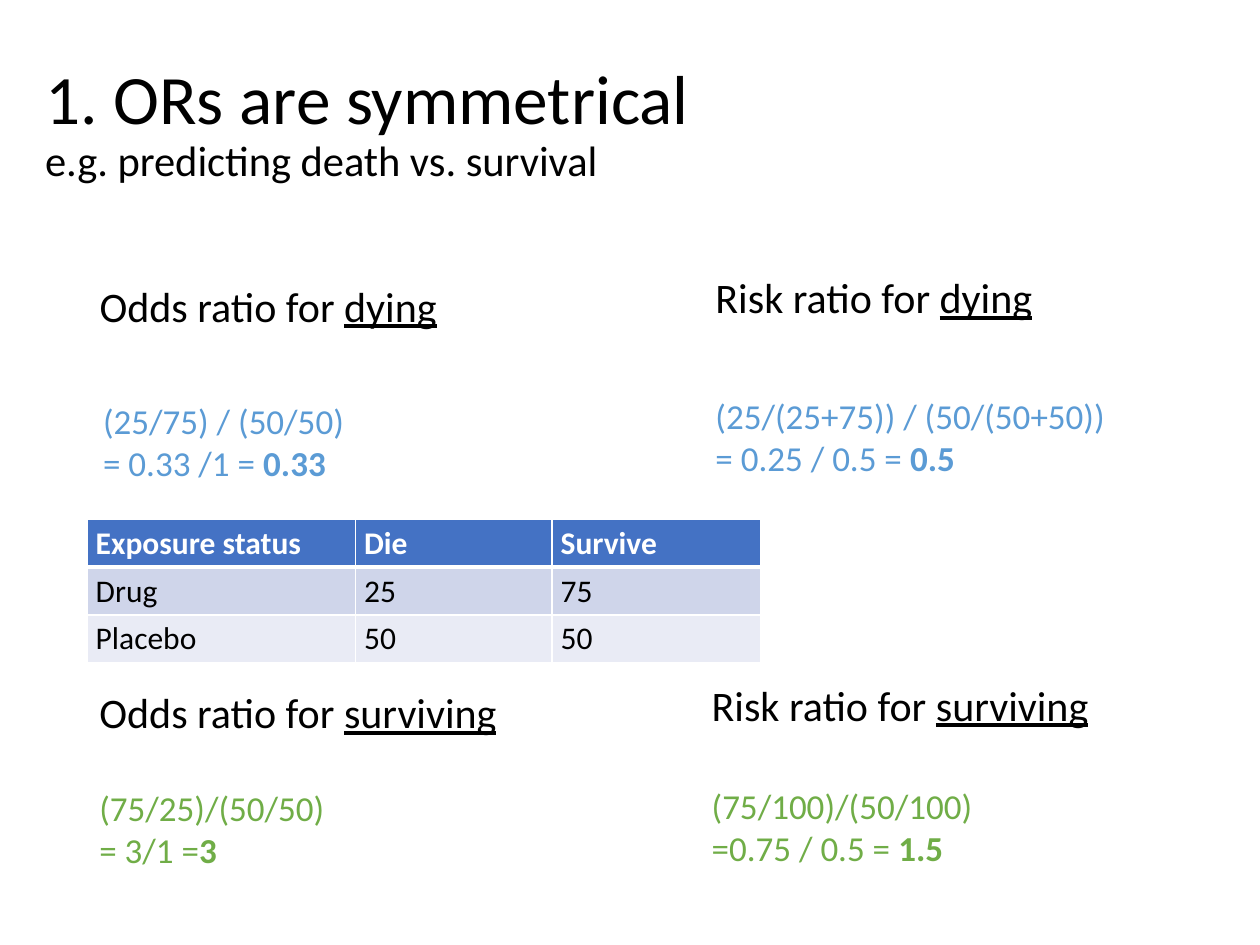
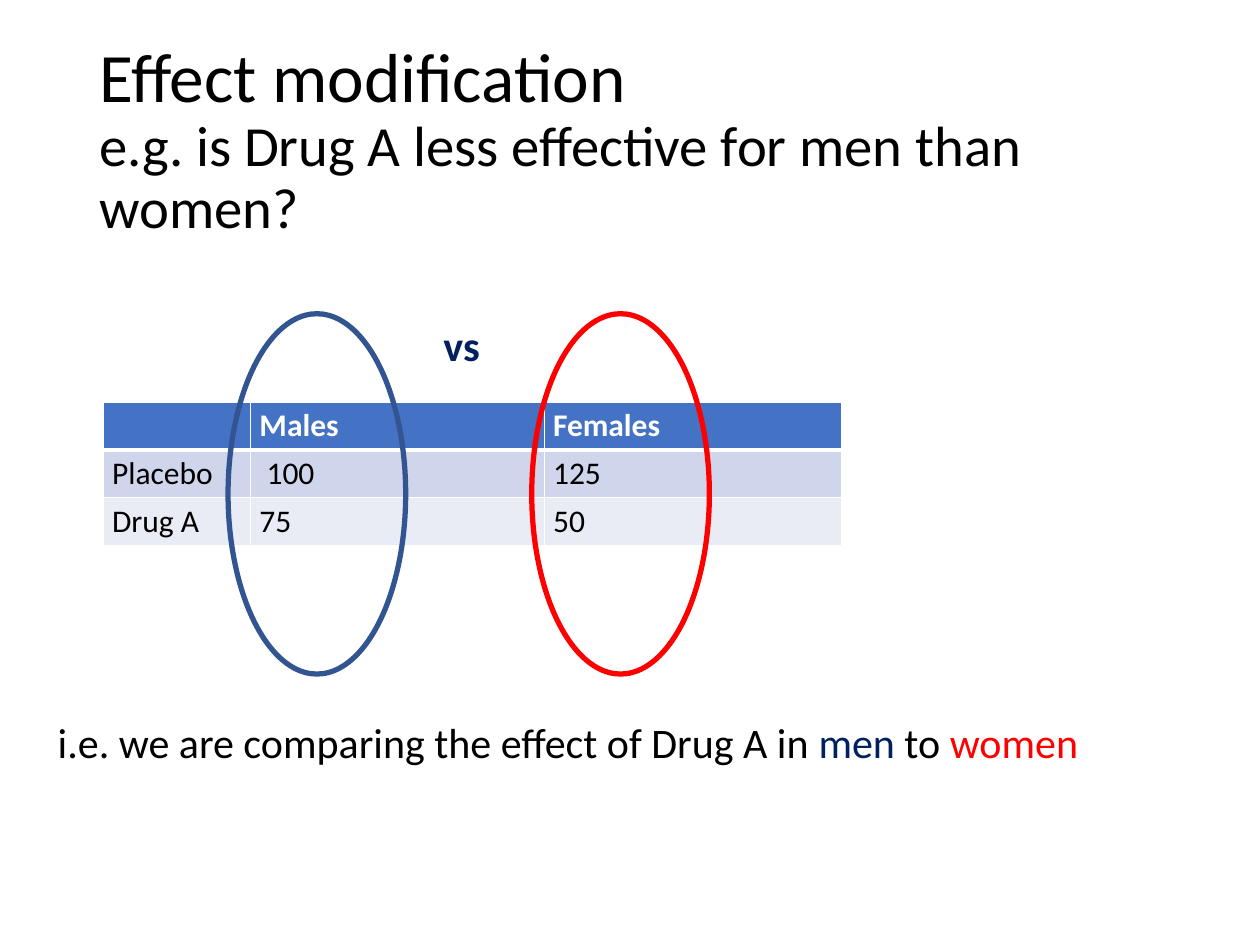
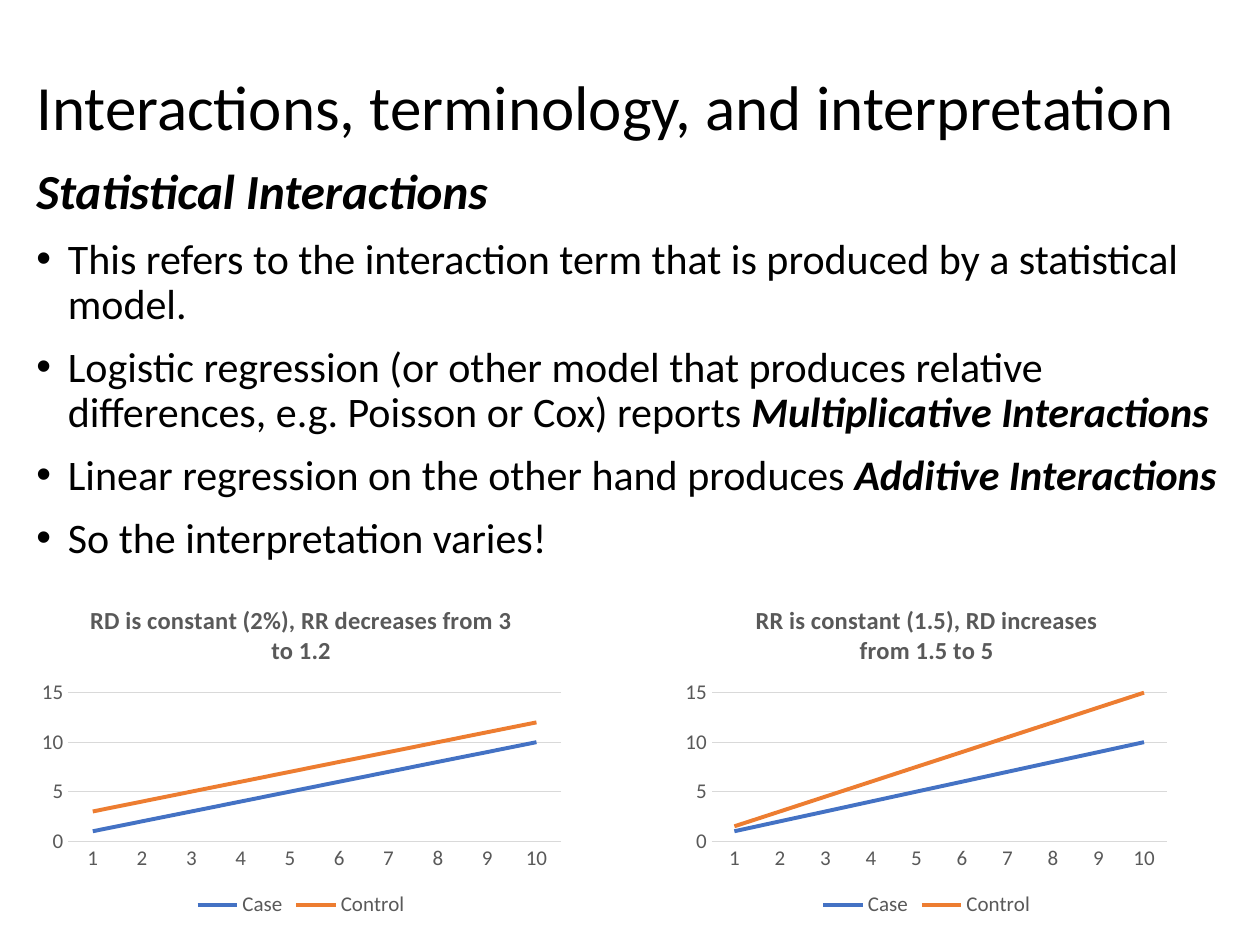
"""Build three slides on odds ratios, effect modification and interactions."""
from dataclasses import dataclass, field

from lxml import etree
from pptx import Presentation
from pptx import util as u
from pptx.chart import data as chart_data
from pptx.dml import color
from pptx.enum import chart as charts
from pptx.enum import shapes, text
from pptx.oxml import ns, parse_xml

SCALE = 9144
FONT = "Calibri"
COLORS = {
    "black": "000000", "white": "FFFFFF", "sky": "5B9BD5", "green": "70AD47",
    "navy": "002060", "steel": "325491", "red": "FF0000", "gray": "595959",
    "grid": "D9D9D9", "blue": "4472C4", "orange": "ED7D31",
    "band": "CFD5EA", "pale": "E9EBF5",
}
STRONG = {"bold": True, "italic": True}


@dataclass
class Span:
    """A run of text with its format values."""
    words: str
    style: dict = field(default_factory=dict)


@dataclass
class Para:
    """A paragraph made of spans, bulleted or plain."""
    spans: list[Span]
    bullet: bool = False


@dataclass
class Label:
    """A text box with one base size and colour."""
    at: tuple[int, int, int, int]
    paras: list[Para]
    size: float = 24
    color: str = "black"
    spacing: float = 1.0
    gap: int = 0
    inset: int = 10
    anchor: text.MSO_ANCHOR = text.MSO_ANCHOR.TOP


@dataclass
class Grid:
    """A table with a header row and banded body rows."""
    left: int
    top: int
    widths: tuple[int, ...]
    rows: list[tuple[str, ...]]


@dataclass
class Trend:
    """A line chart comparing cases with controls."""
    left: int
    width: int
    title: str
    control: list[float]


def px(length: int) -> u.Emu:
    """Turn px into EMU."""
    return u.Emu(length * SCALE)


def rgb(name: str) -> color.RGBColor:
    """Look up a named colour."""
    return color.RGBColor.from_string(COLORS[name])


def set_font(font, size: float, tint: str, **style) -> None:
    """Apply typeface, size, colour and further format values."""
    for name, value in {"name": FONT, "size": u.Pt(size), **style}.items():
        setattr(font, name, value)
    font.color.rgb = rgb(tint)


def add_bullet(para) -> None:
    """Give a paragraph a hanging bullet."""
    props = para._p.get_or_add_pPr()
    props.set("marL", str(px(25)))
    props.set("indent", str(-px(25)))
    etree.SubElement(props, ns.qn("a:buFont")).set("typeface", "Arial")
    etree.SubElement(props, ns.qn("a:buChar")).set("char", "•")


def add_label(page, label: Label) -> None:
    """Draw a text box."""
    frame = page.shapes.add_textbox(*map(px, label.at)).text_frame
    settings = {"word_wrap": True, "vertical_anchor": label.anchor,
                "margin_left": px(label.inset), "margin_right": px(label.inset)}
    for name, value in settings.items():
        setattr(frame, name, value)
    for index, item in enumerate(label.paras):
        para = frame.add_paragraph() if index else frame.paragraphs[0]
        if item.bullet:
            add_bullet(para)
        para.line_spacing = label.spacing
        para.space_before = u.Pt(label.gap if index else 0)
        for span in item.spans:
            if span.words == "\n":
                para.add_line_break()
                continue
            run = para.add_run()
            run.text = span.words
            set_font(run.font, **{"size": label.size, "tint": label.color, **span.style})


def add_title(page, at: tuple[int, int, int, int], heading: str, size: float,
              example: str = "", example_size: float = 0) -> None:
    """Draw a slide title with an optional example line."""
    spans = [Span(heading)]
    if example:
        spans += [Span("\n"), Span(example, {"size": example_size})]
    add_label(page, Label(at, [Para(spans)], size, spacing=0.9,
                          anchor=text.MSO_ANCHOR.MIDDLE))


def add_heading(page, at: tuple[int, int, int, int], measure: str, event: str,
                spacing: float = 1.0, inset: int = 10) -> None:
    """Draw a ratio heading with its event underlined."""
    spans = [Span(f"{measure} ratio for "), Span(event, {"underline": True})]
    add_label(page, Label(at, [Para(spans)], spacing=spacing, inset=inset))


def add_formula(page, at: tuple[int, int, int, int], tint: str, formula: str,
                steps: str, answer: str) -> None:
    """Draw a worked ratio ending in a bold answer."""
    paras = [Para([Span(formula)]), Para([Span(steps), Span(answer, {"bold": True})])]
    add_label(page, Label(at, paras, 20, tint))


def add_borders(cell, weights: dict[str, int]) -> None:
    """Give a cell white borders of the stated point widths."""
    props = cell._tc.get_or_add_tcPr()
    for side, weight in weights.items():
        props.append(parse_xml(
            f'<a:ln{side} {ns.nsdecls("a")} w="{u.Pt(weight)}"><a:solidFill>'
            f'<a:srgbClr val="{COLORS["white"]}"/></a:solidFill></a:ln{side}>'))


def add_grid(page, grid: Grid) -> None:
    """Draw a table."""
    height = 37
    table = page.shapes.add_table(
        len(grid.rows), len(grid.widths), px(grid.left), px(grid.top),
        px(sum(grid.widths)), px(height * len(grid.rows))).table
    for column, width in zip(table.columns, grid.widths):
        column.width = px(width)
    fills = ("blue", "band", "pale")
    for r, values in enumerate(grid.rows):
        table.rows[r].height = px(height)
        for c, value in enumerate(values):
            cell = table.cell(r, c)
            add_borders(cell, {"L": 1, "R": 1, "T": 3 if r == 1 else 1,
                               "B": 1 if r else 3})
            cell.fill.solid()
            cell.fill.fore_color.rgb = rgb(fills[r])
            cell.margin_left = cell.margin_right = px(7)
            cell.margin_top = cell.margin_bottom = px(4)
            para = cell.text_frame.paragraphs[0]
            set_font(para.font, 18, "black" if r else "white", bold=not r)
            if value:
                run = para.add_run()
                run.text = value
                set_font(run.font, 18, "black" if r else "white", bold=not r)


def add_ring(page, left: int, tint: str) -> None:
    """Draw an open ellipse around a table column."""
    ring = page.shapes.add_shape(shapes.MSO_SHAPE.OVAL,
                                 *map(px, (left, 249, 141, 286)))
    ring.shadow.inherit = False
    ring.fill.background()
    ring.line.color.rgb = rgb(tint)
    ring.line.width = u.Pt(3)


def place_plot(chart) -> None:
    """Fix the inner plot area as fractions of the chart."""
    places = {"x": 0.07, "y": 0.32, "w": 0.91, "h": 0.44}
    values = "".join(f'<c:{name} val="{value}"/>' for name, value in places.items())
    area = chart._chartSpace.chart.plotArea
    for old in area.findall(ns.qn("c:layout")):
        area.remove(old)
    area.insert(0, parse_xml(
        f'<c:layout {ns.nsdecls("c")}><c:manualLayout><c:layoutTarget val="inner"/>'
        f'<c:xMode val="edge"/><c:yMode val="edge"/>{values}'
        '</c:manualLayout></c:layout>'))


def add_trend(page, trend: Trend) -> None:
    """Draw a line chart."""
    numbers = chart_data.CategoryChartData()
    numbers.categories = [str(n) for n in range(1, 11)]
    numbers.add_series("Case", range(1, 11))
    numbers.add_series("Control", trend.control)
    chart = page.shapes.add_chart(
        charts.XL_CHART_TYPE.LINE, px(trend.left), px(464), px(trend.width),
        px(268), numbers).chart
    set_font(chart.font, 12, "gray")
    frame = chart.chart_title.text_frame
    frame.text = trend.title
    set_font(frame.paragraphs[0].runs[0].font, 14, "gray", bold=True)
    chart.chart_title.include_in_layout = False
    chart.has_legend = True
    chart.legend.position = charts.XL_LEGEND_POSITION.BOTTOM
    chart.legend.include_in_layout = False
    set_font(chart.legend.font, 12, "gray")
    for axis in (chart.category_axis, chart.value_axis):
        axis.major_tick_mark = charts.XL_TICK_MARK.NONE
        set_font(axis.tick_labels.font, 12, "gray")
    scale = chart.value_axis
    for name, value in {"minimum_scale": 0, "maximum_scale": 15, "major_unit": 5}.items():
        setattr(scale, name, value)
    scale.format.line.fill.background()
    for line in (chart.category_axis.format.line, scale.major_gridlines.format.line):
        line.color.rgb = rgb("grid")
        line.width = u.Pt(0.75)
    chart.plots[0].vary_by_categories = False
    for series, tint in zip(chart.plots[0].series, ("blue", "orange")):
        series.smooth = False
        series.marker.style = charts.XL_MARKER_STYLE.NONE
        series.format.line.color.rgb = rgb(tint)
        series.format.line.width = u.Pt(2.25)
    place_plot(chart)


def build_ratios(page) -> None:
    """Build the slide on symmetrical odds ratios."""
    add_title(page, (26, 45, 925, 109), "1. ORs are symmetrical", 39.6,
              "e.g. predicting death vs. survival", 24.3)
    add_heading(page, (558, 215, 429, 96), "Risk", "dying", 0.9)
    add_heading(page, (72, 222, 313, 96), "Odds", "dying", 0.9, 7)
    add_heading(page, (69, 540, 348, 50), "Odds", "surviving")
    add_heading(page, (555, 534, 396, 50), "Risk", "surviving")
    add_formula(page, (72, 312, 240, 77), "sky",
                "(25/75) / (50/50)", "= 0.33 /1 = ", "0.33")
    add_formula(page, (558, 308, 331, 77), "sky",
                "(25/(25+75)) / (50/(50+50))", "= 0.25 / 0.5 = ", "0.5")
    add_formula(page, (69, 619, 240, 77), "green", "(75/25)/(50/50)", "= 3/1 =", "3")
    add_formula(page, (555, 618, 240, 77), "green",
                "(75/100)/(50/100)", "=0.75 / 0.5 = ", "1.5")
    add_grid(page, Grid(69, 412, (213, 156, 166), [
        ("Exposure status", "Die", "Survive"),
        ("Drug", "25", "75"),
        ("Placebo", "50", "50")]))


def build_modification(page) -> None:
    """Build the slide on effect modification."""
    add_title(page, (69, 40, 862, 145), "Effect modification", 39.6,
              "e.g. is Drug A less effective for men than women?", 32.4)
    add_grid(page, Grid(82, 319, (117, 233, 236), [
        ("", "Males", "Females"),
        ("Placebo", " 100", "125"),
        ("Drug A", "75", "50")]))
    add_ring(page, 181, "steel")
    add_ring(page, 422, "red")
    add_label(page, Label((342, 249, 63, 50), [Para([Span("vs", {"bold": True})])],
                          color="navy"))
    add_label(page, Label((36, 564, 934, 50), [Para([
        Span("i.e. we are comparing the effect of Drug A in "),
        Span("men", {"tint": "navy"}), Span(" to "),
        Span("women", {"tint": "red"})])]))


def build_interactions(page) -> None:
    """Build the slide on interaction terms."""
    add_title(page, (19, 33, 930, 109),
              "Interactions, terminology, and interpretation", 36)
    points = [
        [Span("This refers to the interaction term that is produced by a "
              "statistical model.")],
        [Span("Logistic regression (or other model that produces relative "
              "differences, e.g. Poisson or Cox) reports "),
         Span("Multiplicative Interactions", STRONG)],
        [Span("Linear regression on the other hand produces "),
         Span("Additive Interactions", STRONG)],
        [Span("So the interpretation varies!")],
    ]
    heading = Para([Span("Statistical Interactions", {"size": 28, **STRONG})])
    add_label(page, Label((19, 128, 958, 446),
                          [heading, *(Para(spans, True) for spans in points)],
                          spacing=0.9, gap=10))
    add_trend(page, Trend(24, 430, "RD is constant (2%), RR decreases from 3 to 1.2",
                          [n + 2 for n in range(1, 11)]))
    add_trend(page, Trend(537, 397, "RR is constant (1.5), RD increases from 1.5 to 5",
                          [n * 1.5 for n in range(1, 11)]))


def main() -> None:
    """Build and save the deck."""
    deck = Presentation()
    deck.slide_width, deck.slide_height = px(1000), px(750)
    for build in (build_ratios, build_modification, build_interactions):
        build(deck.slides.add_slide(deck.slide_layouts[6]))
    deck.save("out.pptx")


if __name__ == "__main__":
    main()
